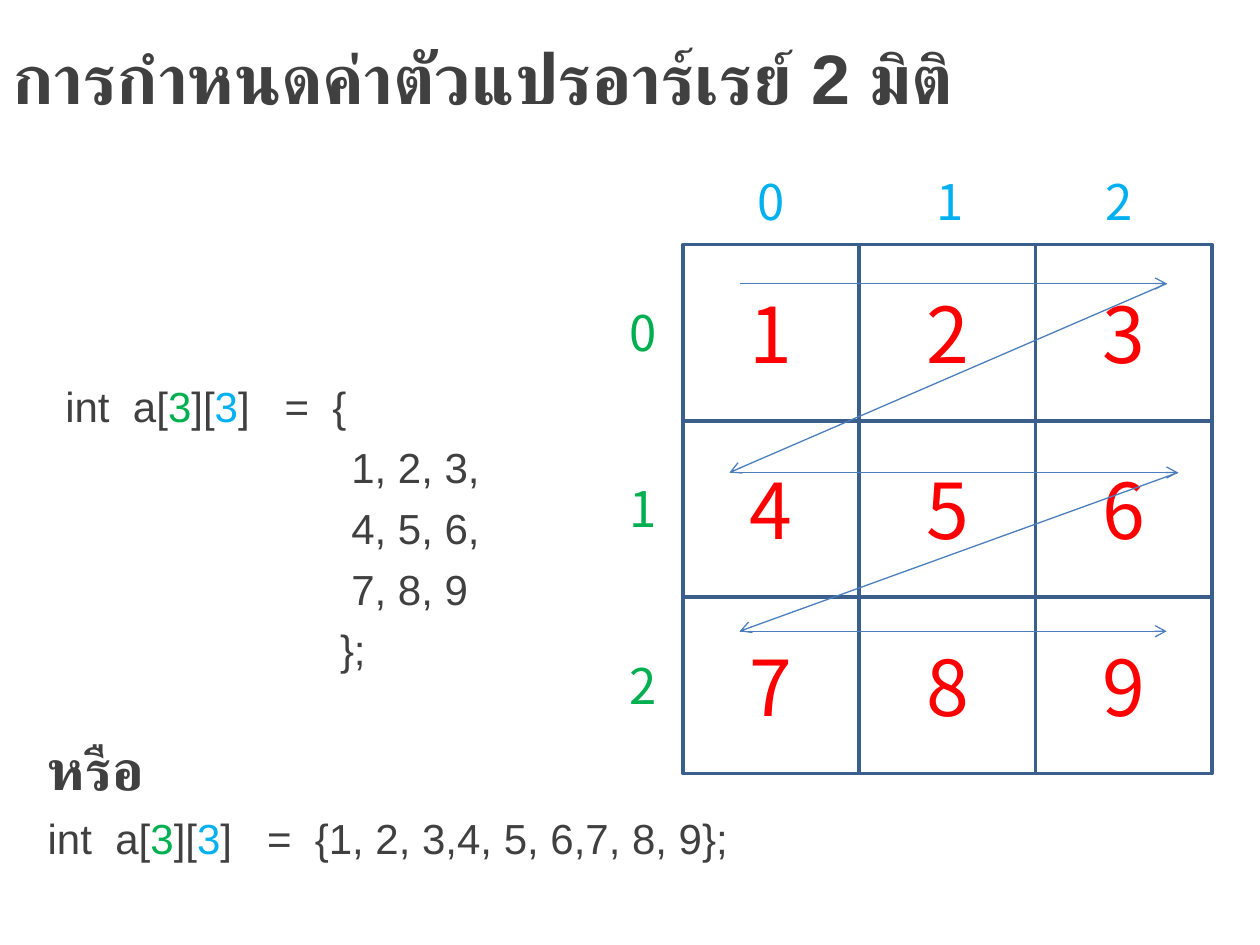
from dataclasses import dataclass
from itertools import pairwise

from lxml import etree
from pptx import Presentation
from pptx.dml.color import RGBColor
from pptx.enum.shapes import MSO_CONNECTOR, MSO_SHAPE
from pptx.enum.text import MSO_ANCHOR, PP_ALIGN
from pptx.oxml.ns import qn
from pptx.util import Inches, Pt

LEFT, CENTER = PP_ALIGN.LEFT, PP_ALIGN.CENTER
TOP, MIDDLE = MSO_ANCHOR.TOP, MSO_ANCHOR.MIDDLE
RECTANGLE, STRAIGHT = MSO_SHAPE.RECTANGLE, MSO_CONNECTOR.STRAIGHT

DARK, GREEN, BLUE, RED = "404040", "00B050", "00B0F0", "FF0000"
GRID_LINE, ARROW_LINE = "3A5F8C", "4B7EBC"
BODY_FONT, THAI_FONT, NUMBER_FONT = "Arial", "Roboto", "Noto Sans CJK KR"
GRID_LEFT, GRID_TOP, CELL = 5.42, 1.94, 1.4
LABEL_HEIGHT = 0.57


@dataclass
class Box:
    left: float
    top: float
    width: float
    height: float


@dataclass
class Line:
    """A paragraph made of (text, colour) runs in one font."""
    runs: list[tuple[str, str]]
    size: float = 24
    font: str = BODY_FONT
    bold: bool = False
    align: PP_ALIGN = LEFT
    indent: float = 0
    before: float = 0


def color(value: str) -> RGBColor:
    return RGBColor.from_string(value)


def write(shape, lines: list[Line], anchor: MSO_ANCHOR) -> None:
    frame = shape.text_frame
    frame.word_wrap = True
    frame.vertical_anchor = anchor
    for index, line in enumerate(lines):
        paragraph = frame.add_paragraph() if index else frame.paragraphs[0]
        paragraph.alignment = line.align
        paragraph.space_before = Pt(line.before)
        paragraph.font.size = Pt(line.size)
        paragraph.font.name = line.font
        paragraph.font.bold = line.bold
        if line.indent:
            paragraph._p.get_or_add_pPr().set("marL", str(Inches(line.indent)))
        for text, run_color in line.runs:
            run = paragraph.add_run()
            run.text = text
            run.font.color.rgb = color(run_color)


def add_text(slide, box: Box, lines: list[Line], anchor: MSO_ANCHOR = MIDDLE) -> None:
    shape = slide.shapes.add_textbox(
        Inches(box.left), Inches(box.top), Inches(box.width), Inches(box.height))
    write(shape, lines, anchor)


def number(text: str, size: float, number_color: str) -> list[Line]:
    return [Line([(text, number_color)], size, NUMBER_FONT, align=CENTER)]


def add_cell(slide, row: int, column: int) -> None:
    shape = slide.shapes.add_shape(
        RECTANGLE, Inches(GRID_LEFT + column * CELL), Inches(GRID_TOP + row * CELL),
        Inches(CELL), Inches(CELL))
    shape.shadow.inherit = False
    shape.fill.background()
    shape.line.color.rgb = color(GRID_LINE)
    shape.line.width = Pt(2)
    write(shape, number(str(3 * row + column + 1), 44, RED), MIDDLE)


def add_arrow(slide, start: tuple[float, float], end: tuple[float, float]) -> None:
    connector = slide.shapes.add_connector(
        STRAIGHT, *(Inches(value) for value in (*start, *end)))
    connector.line.color.rgb = color(ARROW_LINE)
    connector.line.width = Pt(0.75)
    etree.SubElement(connector.line._get_or_add_ln(), qn("a:tailEnd"), type="arrow")
    etree.SubElement(connector._element.spPr, qn("a:effectLst"))


def declaration(ending: str) -> Line:
    """The start of the array declaration, with row and column sizes coloured."""
    return Line([("int  a[", DARK), ("3", GREEN), ("][", DARK), ("3", BLUE),
                 ("]   =  " + ending, DARK)], before=6)


def main() -> None:
    presentation = Presentation()
    presentation.slide_width, presentation.slide_height = Inches(10), Inches(7.5)
    slide = presentation.slides.add_slide(presentation.slide_layouts[6])

    add_text(slide, Box(0, 0.02, 10, 1.17),
             [Line([("การกำหนดค่าตัวแปรอาร์เรย์ 2 มิติ", DARK)], 40, bold=True)])

    values = [Line([(text, DARK)], indent=2.27, before=6)
              for text in ("1, 2, 3,", "4, 5, 6,", "7, 8, 9")]
    closing = Line([("};", DARK)], indent=2.18, before=6)
    add_text(slide, Box(0.42, 2.73, 4.09, 2.91), [declaration("{"), *values, closing])

    for row in range(3):
        for column in range(3):
            add_cell(slide, row, column)

    for index, left in enumerate((5.65, 7.07, 8.41)):
        add_text(slide, Box(left, 1.31, 0.94, LABEL_HEIGHT),
                 number(str(index), 28, BLUE), TOP)
        add_text(slide, Box(4.8, 2.35 + index * CELL, 0.6, LABEL_HEIGHT),
                 number(str(index), 28, GREEN), TOP)

    add_text(slide, Box(0.28, 5.64, 5.69, 1.4),
             [Line([("หรือ", DARK)], 32, THAI_FONT, bold=True, before=6),
              declaration("{1, 2, 3,4, 5, 6,7, 8, 9};")])

    reading_path = [(5.87, 2.25), (9.26, 2.25), (5.79, 3.75),
                    (9.35, 3.75), (5.87, 5.01), (9.26, 5.01)]
    for start, end in pairwise(reading_path):
        add_arrow(slide, start, end)

    presentation.save("out.pptx")


if __name__ == "__main__":
    main()
